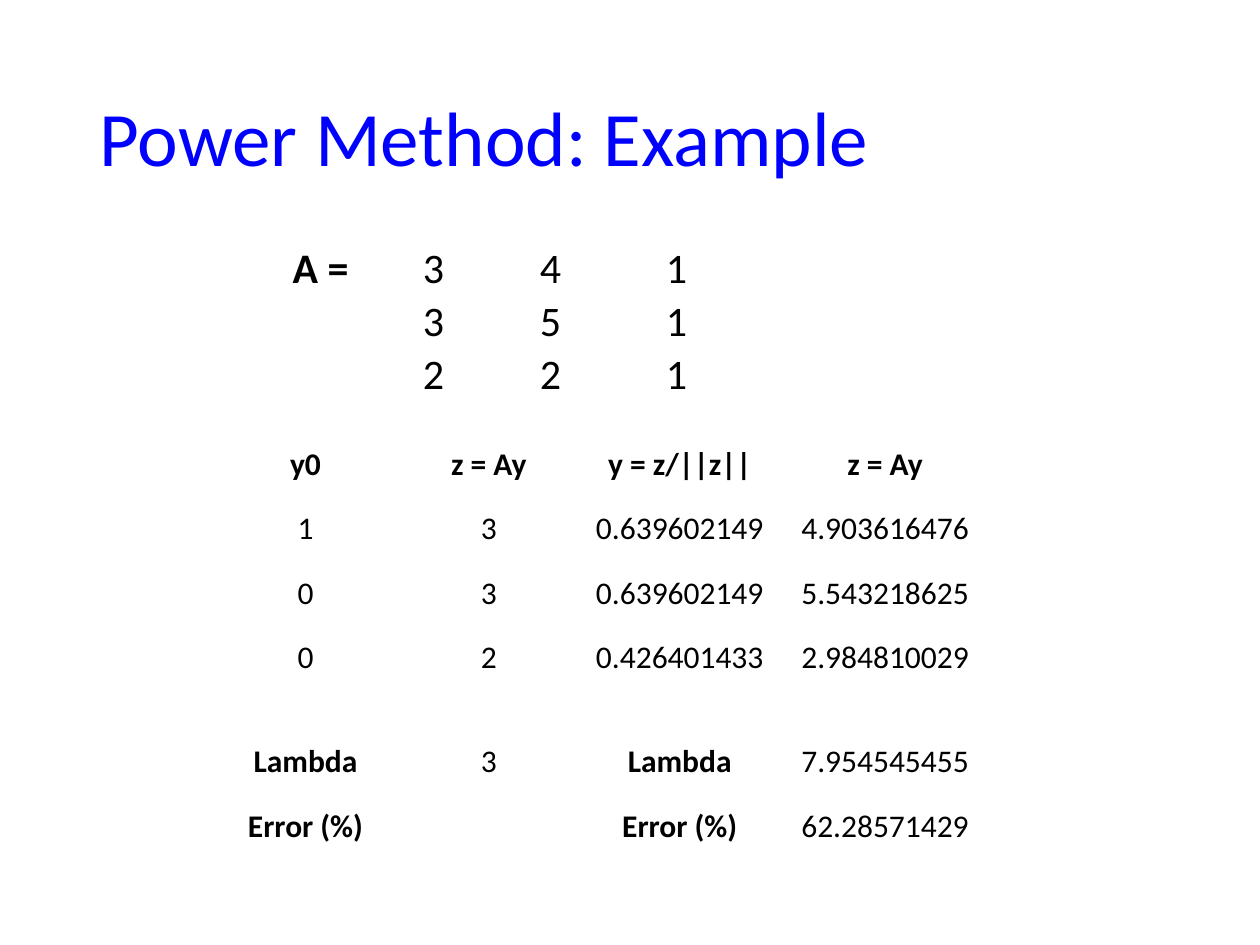
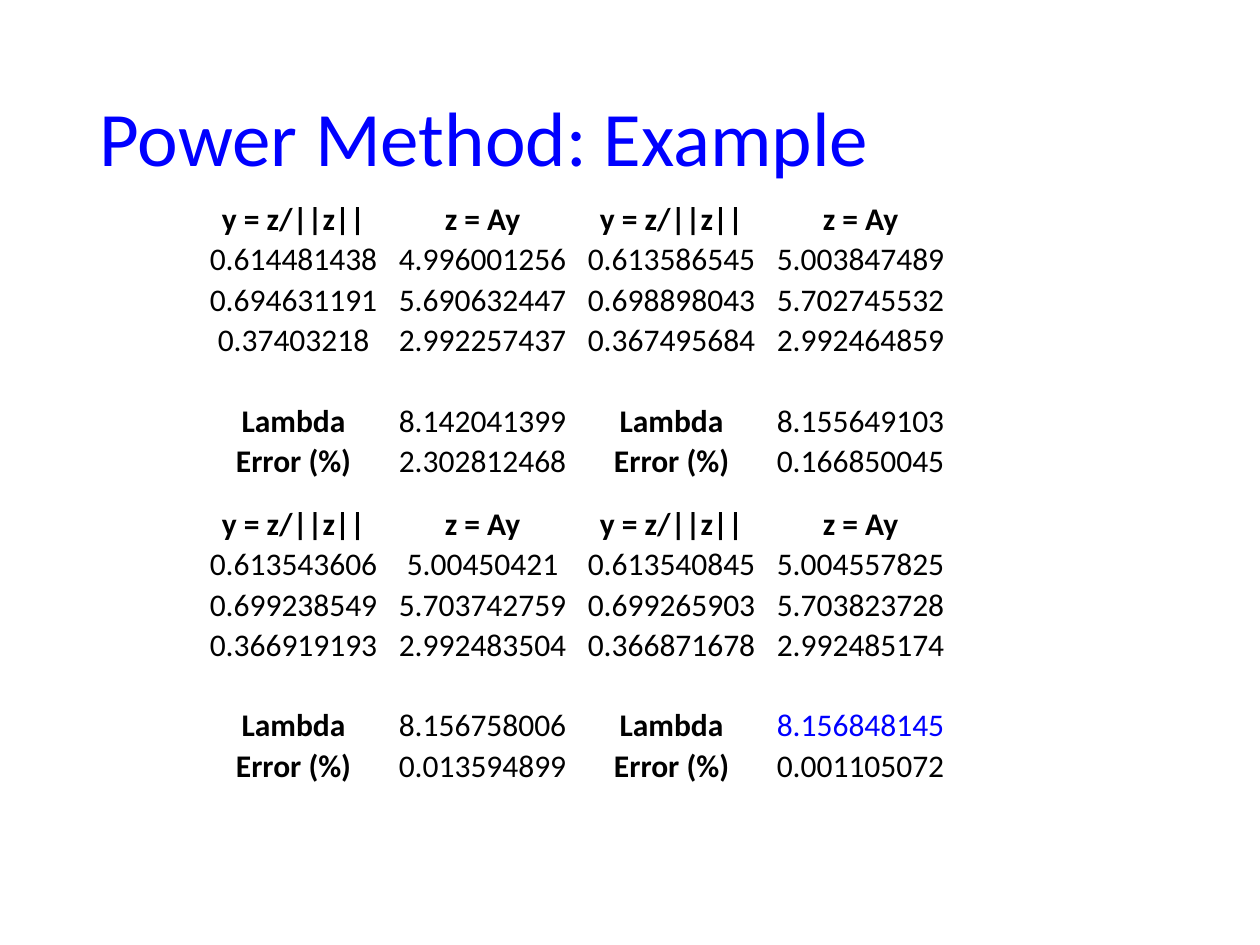
import pptx
import pptx.util
import pptx.dml.color
import pptx.enum.text

Inches = pptx.util.Inches
Pt = pptx.util.Pt
RGBColor = pptx.dml.color.RGBColor
ALIGN = pptx.enum.text.PP_ALIGN
ANCHOR = pptx.enum.text.MSO_ANCHOR

BLUE = RGBColor(0x00, 0x00, 0xFF)
BLACK = RGBColor(0x00, 0x00, 0x00)
FONT = "Calibri"
TITLE = "Power Method: Example"
HEAD = ["y = z/||z||", "z = Ay"] * 2
BLANK = [""] * 4

MATRIX = [
    ["A =", "3", "4", "1"],
    ["", "3", "5", "1"],
    ["", "2", "2", "1"],
]
START = [
    ["y0", "z = Ay", "y = z/||z||", "z = Ay"],
    ["1", "3", "0.639602149", "4.903616476"],
    ["0", "3", "0.639602149", "5.543218625"],
    ["0", "2", "0.426401433", "2.984810029"],
    BLANK,
    ["Lambda", "3", "Lambda", "7.954545455"],
    ["Error (%)", "", "Error (%)", "62.28571429"],
]
MIDDLE = [
    HEAD,
    ["0.614481438", "4.996001256", "0.613586545", "5.003847489"],
    ["0.694631191", "5.690632447", "0.698898043", "5.702745532"],
    ["0.37403218", "2.992257437", "0.367495684", "2.992464859"],
    BLANK,
    ["Lambda", "8.142041399", "Lambda", "8.155649103"],
    ["Error (%)", "2.302812468", "Error (%)", "0.166850045"],
]
FINAL = [
    HEAD,
    ["0.613543606", "5.00450421", "0.613540845", "5.004557825"],
    ["0.699238549", "5.703742759", "0.699265903", "5.703823728"],
    ["0.366919193", "2.992483504", "0.366871678", "2.992485174"],
    BLANK,
    ["Lambda", "8.156758006", "Lambda", "8.156848145"],
    ["Error (%)", "0.013594899", "Error (%)", "0.001105072"],
]


def set_font(para, size, color, bold=False):
    para.font.name = FONT
    para.font.size = Pt(size)
    para.font.bold = bold
    para.font.color.rgb = color


def add_slide(deck):
    slide = deck.slides.add_slide(deck.slide_layouts[5])
    title = slide.shapes.title
    title.left, title.top = Inches(0.69), Inches(0.4)
    title.width, title.height = Inches(8.62), Inches(1.45)
    title.text_frame.text = TITLE
    title.text_frame.vertical_anchor = ANCHOR.MIDDLE
    para = title.text_frame.paragraphs[0]
    para.alignment = ALIGN.LEFT
    para.line_spacing = 0.9
    set_font(para, 44, BLUE)
    return slide


def fill_cell(cell, text, size):
    cell.fill.background()
    cell.margin_left = cell.margin_right = cell.margin_top = Inches(0.01)
    cell.margin_bottom = 0
    cell.vertical_anchor = ANCHOR.MIDDLE
    cell.text = text
    para = cell.text_frame.paragraphs[0]
    para.alignment = ALIGN.CENTER
    label = any(char.isalpha() for char in text)
    set_font(para, size, BLACK, label)


def add_grid(slide, left, top, data, widths, heights, size=18):
    frame = slide.shapes.add_table(
        len(data), len(widths), Inches(left), Inches(top),
        Inches(sum(widths)), Inches(sum(heights)))
    table = frame.table
    table.first_row = table.horz_banding = False
    for col, width in zip(table.columns, widths):
        col.width = Inches(width)
    for row, height, texts in zip(table.rows, heights, data):
        row.height = Inches(height)
        for cell, text in zip(row.cells, texts):
            fill_cell(cell, text, size)
    return table


def main():
    deck = pptx.Presentation()
    deck.slide_width, deck.slide_height = Inches(10), Inches(7.5)

    first = add_slide(deck)
    add_grid(first, 2.08, 1.92, MATRIX, [0.93, 0.86, 1, 1], [0.42] * 3, 24)
    add_grid(first, 1.67, 3.42, START, [1.51, 1.4, 1.63, 1.63],
             [0.52] + [0.51] * 3 + [0.32] + [0.51] * 2)

    second = add_slide(deck)
    widths, heights = [1.5] * 4, [0.32] * 7
    add_grid(second, 1.58, 1.58, MIDDLE, widths, heights)
    final = add_grid(second, 1.58, 4, FINAL, widths, heights)
    answer = final.cell(5, 3).text_frame.paragraphs[0]
    answer.font.color.rgb = BLUE

    deck.save("out.pptx")


if __name__ == "__main__":
    main()
